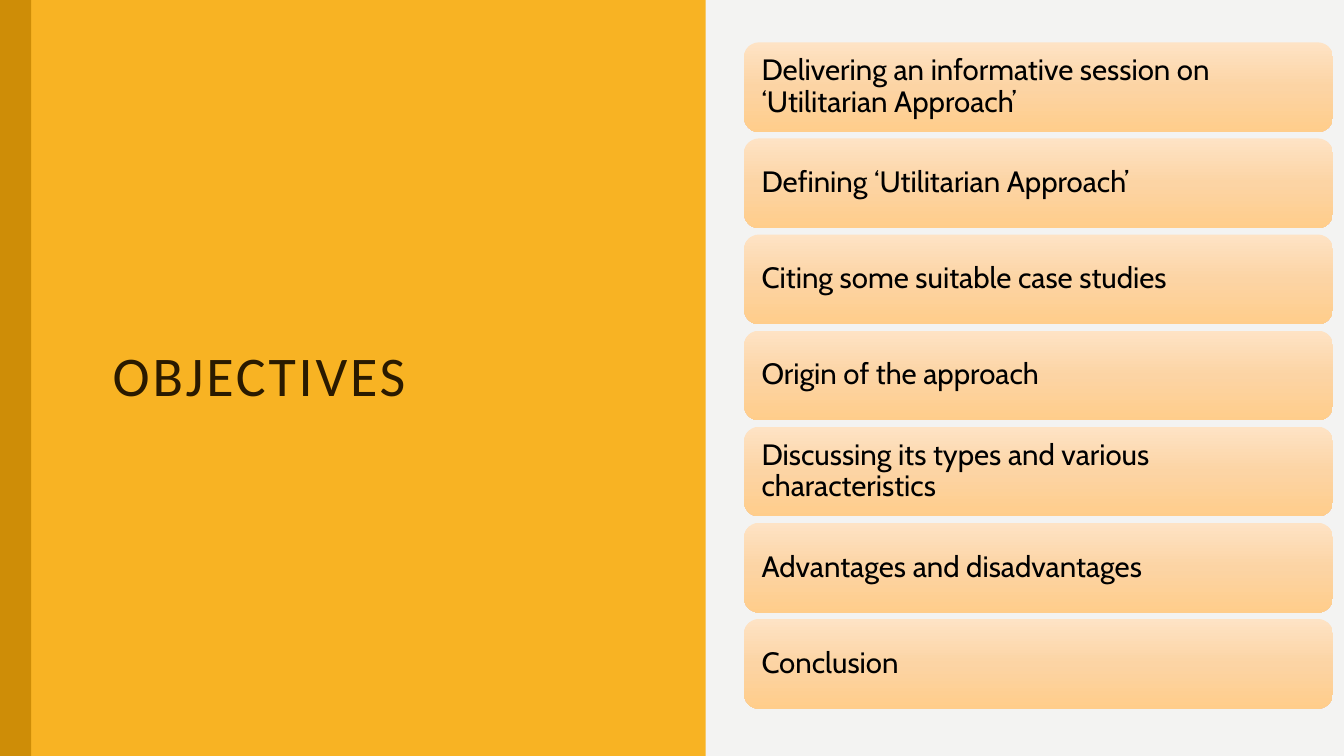
from copy import deepcopy

from pptx import Presentation
from pptx.dml.color import RGBColor
from pptx.enum.shapes import MSO_SHAPE as SHAPE
from pptx.enum.text import MSO_ANCHOR as ANCHOR, PP_ALIGN as ALIGN
from pptx.oxml.ns import qn
from pptx.util import Inches, Pt

PAPER = RGBColor(0xF3, 0xF3, 0xF2)
AMBER = RGBColor(0xF8, 0xB3, 0x23)
OCHRE = RGBColor(0xCE, 0x8D, 0x07)
BROWN = RGBColor(0x2A, 0x1A, 0x00)
BLACK = RGBColor(0x00, 0x00, 0x00)
CARD_STOPS = [
    (0, RGBColor(0xFE, 0xE3, 0xC5)),
    (0.5, RGBColor(0xFC, 0xD4, 0xA4)),
    (1, RGBColor(0xFF, 0xCD, 0x8B)),
]

WIDTH, HEIGHT = 13.33, 7.5
TITLE_FONT = {"name": "Calibri", "size": Pt(40)}
CARD_FONT = {"name": "Cabin", "size": Pt(21)}

WAVE_LEFT, WAVE_PERIOD, WAVE_COUNT = 6.68, 1.5, 5
# (distance down, distance right) from a trough to the next crest
HALF_WAVE = [
    (0, 0), (0.07, 0), (0.14, 0.02), (0.2, 0.03), (0.25, 0.04),
    (0.29, 0.06), (0.33, 0.08), (0.38, 0.11), (0.42, 0.13), (0.46, 0.15),
    (0.5, 0.17), (0.55, 0.18), (0.61, 0.2), (0.68, 0.21), (0.75, 0.21),
]

CARD_LEFT, CARD_TOP, CARD_W, CARD_H = 7.38, 0.42, 5.84, 0.89
CARD_PITCH = 5.72 / 6
CARD_INSET = 0.13
OBJECTIVES = [
    "Delivering an informative session on ‘Utilitarian Approach’",
    "Defining ‘Utilitarian Approach’",
    "Citing some suitable case studies",
    "Origin of the approach",
    "Discussing its types and various characteristics",
    "Advantages and disadvantages",
    "Conclusion",
]


def make_plain(sp):
    """Remove the shadow and the outline."""
    sp.shadow.inherit = False
    sp.line.fill.background()


def fill_solid(sp, color):
    sp.fill.solid()
    sp.fill.fore_color.rgb = color


def fill_gradient(sp, stops):
    """Fill from top to bottom with three colour stops."""
    sp.fill.gradient()
    sp.fill.gradient_angle = 270
    gs = sp._element.spPr.find(".//" + qn("a:gs"))
    gs.addnext(deepcopy(gs))
    for stop, (position, color) in zip(sp.fill.gradient_stops, stops):
        stop.position = position
        stop.color.rgb = color


def write_text(tf, text, font, color):
    tf.word_wrap = True
    tf.vertical_anchor = ANCHOR.MIDDLE
    p = tf.paragraphs[0]
    p.alignment = ALIGN.LEFT
    p.line_spacing = 0.9
    r = p.add_run()
    r.text = text
    for name, value in font.items():
        setattr(r.font, name, value)
    r.font.color.rgb = color
    return r


def add_wavy_panel(slide):
    """Draw the panel whose right edge repeats a mirrored half wave."""
    mirrored = [(WAVE_PERIOD - y, x) for y, x in reversed(HALF_WAVE[1:-1])]
    wave = HALF_WAVE + mirrored
    edge = [(WAVE_LEFT + x, i * WAVE_PERIOD + y)
            for i in range(WAVE_COUNT) for y, x in wave]
    points = edge + [(WAVE_LEFT, HEIGHT), (0, HEIGHT)]
    builder = slide.shapes.build_freeform(0, 0, scale=Inches(1))
    builder.add_line_segments(points, close=True)
    sp = builder.convert_to_shape()
    make_plain(sp)
    fill_solid(sp, AMBER)


def add_side_bar(slide):
    sp = slide.shapes.add_shape(
        SHAPE.RECTANGLE, 0, 0, Inches(0.31), Inches(HEIGHT))
    make_plain(sp)
    fill_solid(sp, OCHRE)


def add_title(slide, text):
    box = slide.shapes.add_textbox(
        Inches(1.02), Inches(1.27), Inches(4.94), Inches(4.96))
    r = write_text(box.text_frame, text, TITLE_FONT, BROWN)
    r.font._element.set("spc", "200")


def add_card(slide, top, text):
    sp = slide.shapes.add_shape(
        SHAPE.ROUNDED_RECTANGLE, Inches(CARD_LEFT), Inches(top),
        Inches(CARD_W), Inches(CARD_H))
    make_plain(sp)
    fill_gradient(sp, CARD_STOPS)
    tf = sp.text_frame
    for side in ("left", "top", "right", "bottom"):
        setattr(tf, f"margin_{side}", Inches(CARD_INSET))
    write_text(tf, text, CARD_FONT, BLACK)


def main():
    prs = Presentation()
    prs.slide_width, prs.slide_height = Inches(WIDTH), Inches(HEIGHT)
    slide = prs.slides.add_slide(prs.slide_layouts[6])
    fill_solid(slide.background, PAPER)
    add_wavy_panel(slide)
    add_side_bar(slide)
    add_title(slide, "OBJECTIVES")
    for i, text in enumerate(OBJECTIVES):
        add_card(slide, CARD_TOP + i * CARD_PITCH, text)
    prs.save("out.pptx")


if __name__ == "__main__":
    main()
